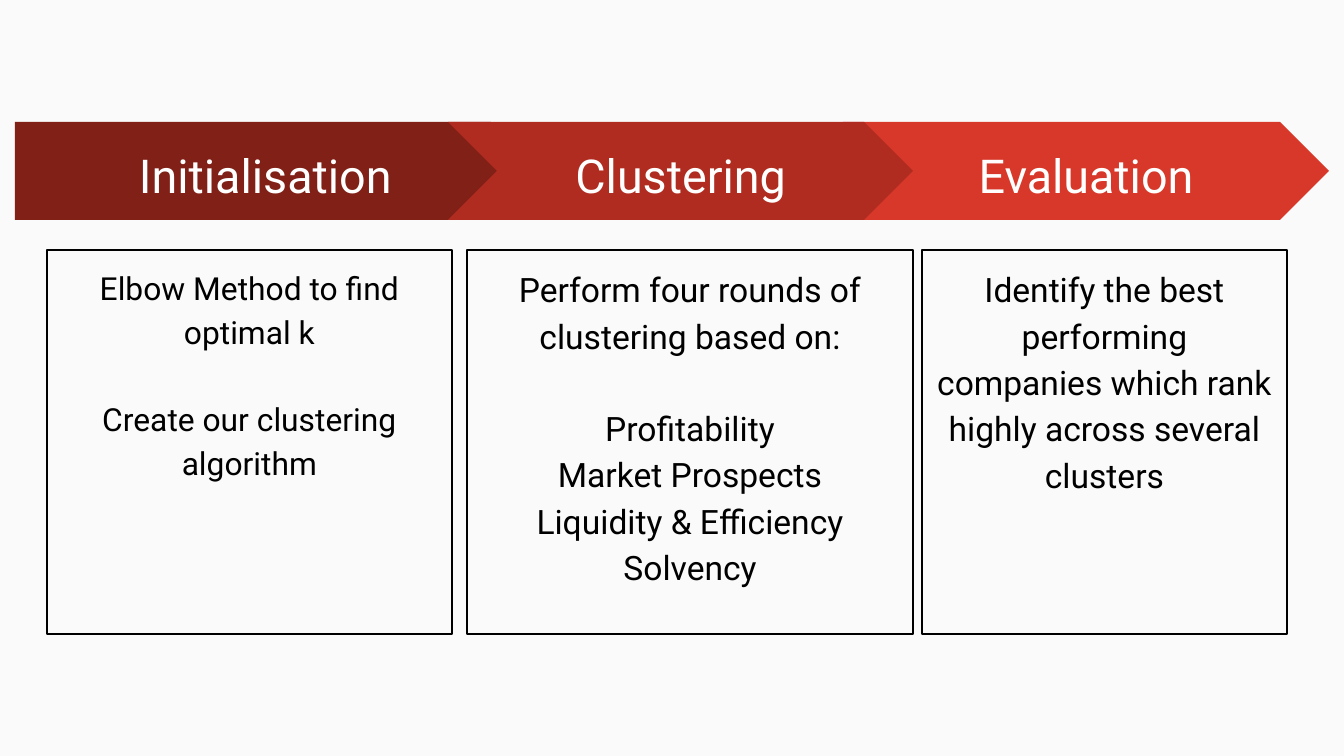
from pptx import Presentation
from pptx.dml.color import RGBColor
from pptx.enum.shapes import MSO_SHAPE
from pptx.enum.text import MSO_ANCHOR, PP_ALIGN
from pptx.util import Pt

PENTAGON, CHEVRON, RECT = MSO_SHAPE.PENTAGON, MSO_SHAPE.CHEVRON, MSO_SHAPE.RECTANGLE
TOP, MIDDLE = MSO_ANCHOR.TOP, MSO_ANCHOR.MIDDLE
CENTER = PP_ALIGN.CENTER

# Stages from back to front: each arrow overlaps the one behind it.
# Arrow and box are (left, width) in px; "groups" are blocks set apart by a gap.
STAGES = [
    {"name": "Evaluation", "kind": CHEVRON, "color": "D83829",
     "arrow": (843, 486), "box": (922, 365), "size": 18,
     "groups": [["Identify the best performing companies which rank "
                 "highly across several clusters"]]},
    {"name": "Initialisation", "kind": PENTAGON, "color": "802017",
     "arrow": (15, 525), "box": (47, 405), "size": 17,
     "groups": [["Elbow Method to find optimal k"],
                ["Create our clustering algorithm"]]},
    {"name": "Clustering", "kind": CHEVRON, "color": "B02C20",
     "arrow": (448, 465), "box": (467, 446), "size": 18,
     "groups": [["Perform four rounds of clustering based on:"],
                ["Profitability", "Market Prospects",
                 "Liquidity & Efficiency", "Solvency"]]},
]
ARROW_ROW = (122, 98)  # top, height
BOX_ROW = (250, 384)
INSET = 13
SPACING = 1.15
GAP = 1.37  # one line's height, as a multiple of the text size


def px(n):
    return round(n * 914400 / 134.4)


def rgb(code):
    return RGBColor.from_string(code)


def add_part(kind, cols, rows, fill=None, line=None):
    part = slide.shapes.add_shape(
        kind, px(cols[0]), px(rows[0]), px(cols[1]), px(rows[1]))
    part.shadow.inherit = False
    if fill:
        part.fill.solid()
        part.fill.fore_color.rgb = rgb(fill)
    else:
        part.fill.background()
    if line:
        part.line.color.rgb = rgb(line)
        part.line.width = Pt(0.75)
    else:
        part.line.fill.background()
    return part


def write(part, groups, size, color, anchor):
    frame = part.text_frame
    frame.word_wrap = True
    frame.vertical_anchor = anchor
    frame.margin_left = frame.margin_right = px(INSET)
    frame.margin_top = frame.margin_bottom = px(INSET)
    lines = [(text, g > 0 and i == 0)
             for g, group in enumerate(groups) for i, text in enumerate(group)]
    for n, (text, gap) in enumerate(lines):
        para = frame.add_paragraph() if n else frame.paragraphs[0]
        para.alignment = CENTER
        para.line_spacing = SPACING
        if gap:
            para.space_before = Pt(round(size * GAP, 1))
        run = para.add_run()
        run.text = text
        run.font.name = "Roboto"
        run.font.size = Pt(size)
        run.font.color.rgb = rgb(color)


# Slide
deck = Presentation()
deck.slide_width, deck.slide_height = px(1344), px(756)
slide = deck.slides.add_slide(deck.slide_layouts[6])
slide.background.fill.solid()
slide.background.fill.fore_color.rgb = rgb("FAFAFA")

# Arrow and detail box for each stage
for stage in STAGES:
    arrow = add_part(stage["kind"], stage["arrow"], ARROW_ROW, fill=stage["color"])
    write(arrow, [[stage["name"]]], size=25, color="FFFFFF", anchor=MIDDLE)
    box = add_part(RECT, stage["box"], BOX_ROW, line="000000")
    write(box, stage["groups"], size=stage["size"], color="000000", anchor=TOP)

deck.save("out.pptx")
